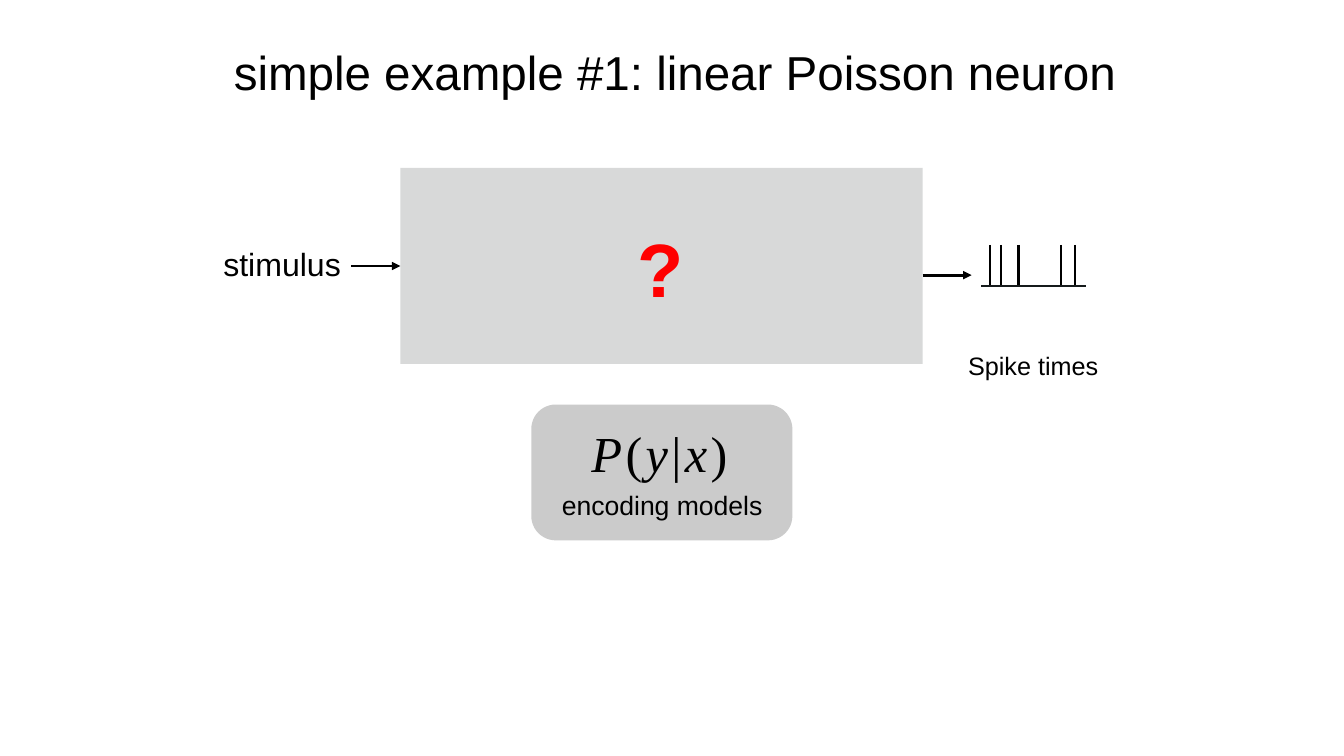
from lxml import etree
from pptx import Presentation
from pptx.dml.color import RGBColor
from pptx.enum.shapes import MSO_CONNECTOR, MSO_SHAPE
from pptx.enum.text import PP_ALIGN
from pptx.oxml.ns import qn
from pptx.util import Pt

BLACK = RGBColor(0x00, 0x00, 0x00)
AXIS = RGBColor(0x15, 0x1A, 0x1B)
RED = RGBColor(0xFF, 0x00, 0x00)
BOX_GREY = RGBColor(0xD8, 0xD9, 0xD9)
MODEL_GREY = RGBColor(0xCB, 0xCB, 0xCB)

LEFT, CENTER = PP_ALIGN.LEFT, PP_ALIGN.CENTER
RECT, ROUNDED = MSO_SHAPE.RECTANGLE, MSO_SHAPE.ROUNDED_RECTANGLE
STRAIGHT = MSO_CONNECTOR.STRAIGHT

SPIKE_XS = (707, 715, 727.5, 758, 768)


class Deck:
    font = "Arial"
    math_font = "Times New Roman"

    def __init__(self):
        self.prs = Presentation()
        self.prs.slide_width, self.prs.slide_height = Pt(960), Pt(540)
        self.s = self.prs.slides.add_slide(self.prs.slide_layouts[6])

    def box(self, kind, x, y, w, h, fill):
        sp = self.s.shapes.add_shape(kind, Pt(x), Pt(y), Pt(w), Pt(h))
        sp.shadow.inherit = False
        sp.fill.solid()
        sp.fill.fore_color.rgb = fill
        sp.line.fill.background()
        return sp

    def line(self, x1, y1, x2, y2, width, color=BLACK, arrow=False):
        ln = self.s.shapes.add_connector(STRAIGHT, Pt(x1), Pt(y1), Pt(x2), Pt(y2))
        ln.line.width = Pt(width)
        ln.line.color.rgb = color
        if arrow:
            etree.SubElement(ln.line._get_or_add_ln(), qn("a:tailEnd"), type="triangle")
        etree.SubElement(ln._element.spPr, qn("a:effectLst"))

    def paragraph(self, x, y, w, h, size, align, color=BLACK, bold=False, font=None):
        """Add a text box without insets and return its styled, empty paragraph."""
        tf = self.s.shapes.add_textbox(Pt(x), Pt(y), Pt(w), Pt(h)).text_frame
        tf.margin_left = tf.margin_right = tf.margin_top = tf.margin_bottom = 0
        tf.word_wrap = True
        p = tf.paragraphs[0]
        p.alignment = align
        p.font.name, p.font.size, p.font.bold = font or self.font, Pt(size), bold
        p.font.color.rgb = color
        return p

    def text(self, text, x, y, w, h, size, align=CENTER, **style):
        self.paragraph(x, y, w, h, size, align, **style).add_run().text = text

    def formula(self, text, x, y, w, h, size, spacing):
        """Write letters in italics and all other signs upright, spaced out."""
        p = self.paragraph(x, y, w, h, size, CENTER, font=self.math_font)
        for sign in text:
            r = p.add_run()
            r.text = sign
            r.font.italic = sign.isalpha()
            r.font._element.set("spc", str(round(spacing * 100)))


def main():
    deck = Deck()
    deck.text("simple example #1: linear Poisson neuron", 167, 30.5, 780, 40, 34, LEFT)

    deck.box(RECT, 286, 120, 373, 140, BOX_GREY)
    deck.text("?", 448, 158.3, 48, 62, 54, color=RED, bold=True)

    deck.text("stimulus", 159.5, 174.3, 90, 27, 22.9, LEFT)
    deck.line(251, 190, 286, 190, 2, arrow=True)
    deck.line(659, 196.5, 694, 196.5, 2, arrow=True)

    for x in SPIKE_XS:
        deck.line(x, 175, x, 205, 1.55)
    deck.line(701, 204.5, 776, 204.5, 1.55, AXIS)
    deck.text("Spike times", 684, 250, 108, 21, 18)

    model = deck.box(ROUNDED, 379.5, 289, 186.5, 97, MODEL_GREY)
    model.adjustments[0] = 0.18
    deck.formula("P(y|x)", 400, 301.3, 142, 42, 36, 2.4)
    deck.text("encoding models", 394, 349, 158, 22, 19)

    deck.prs.save("out.pptx")


if __name__ == "__main__":
    main()
